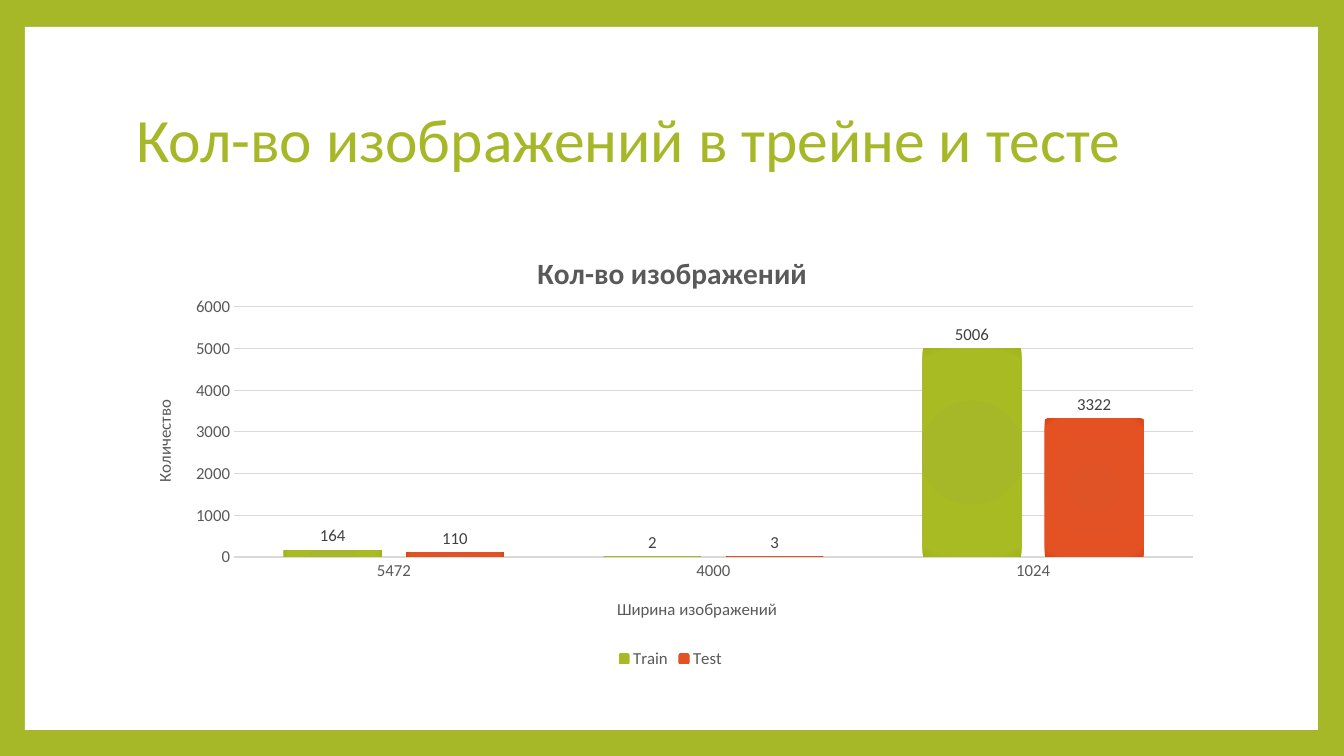
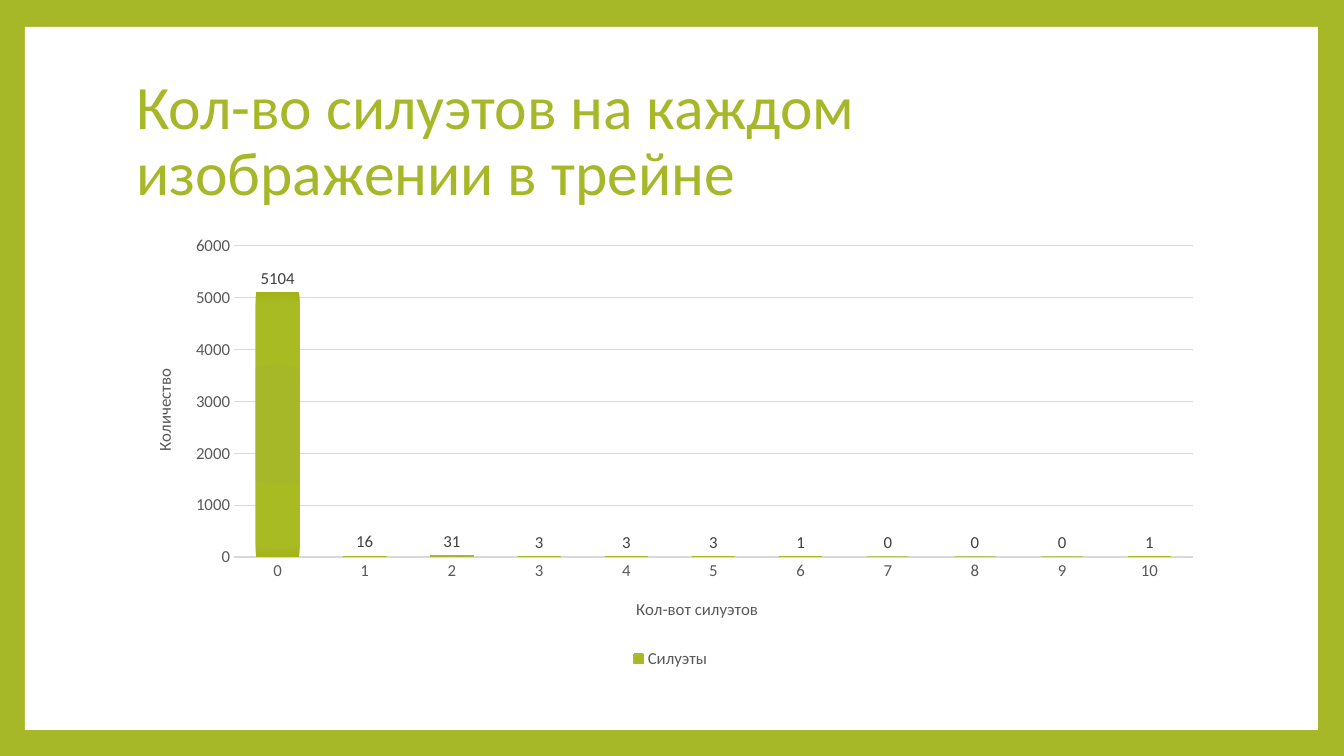
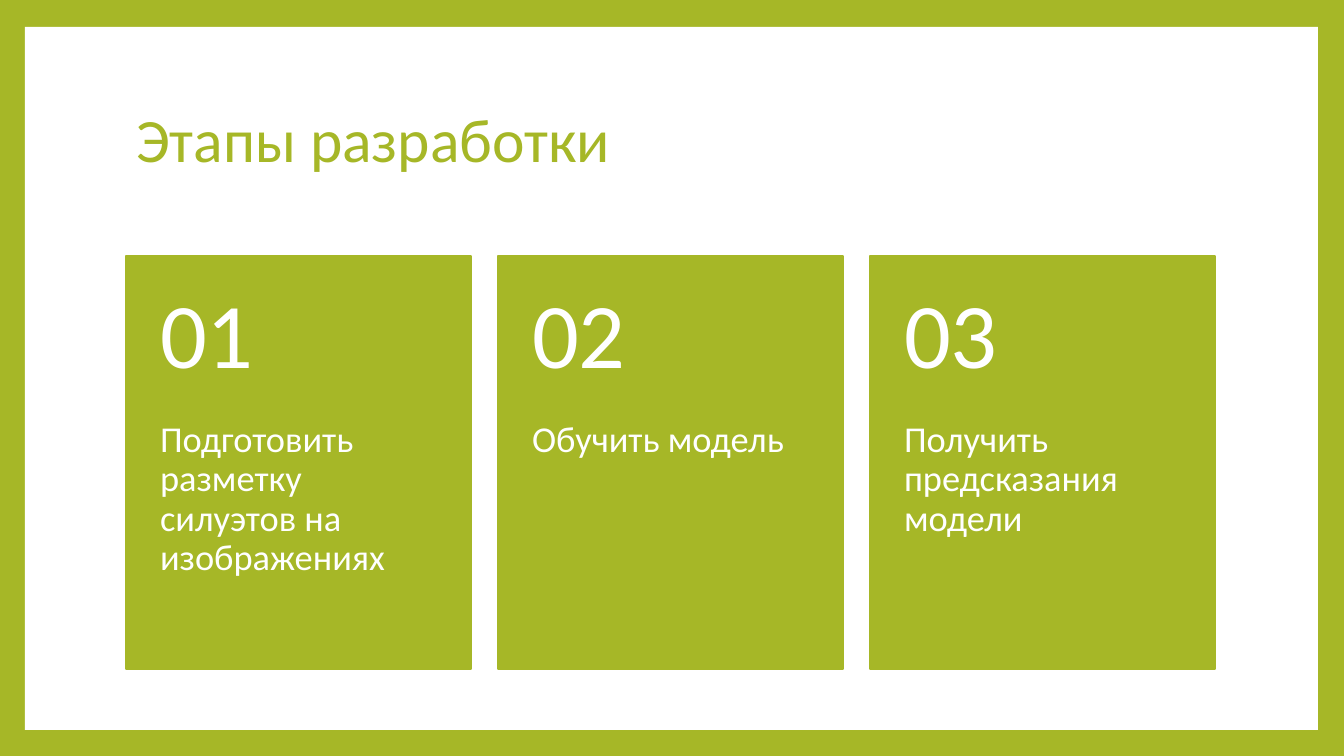
from dataclasses import dataclass

import pptx
import pptx.chart.data
import pptx.dml.color
import pptx.enum.chart
import pptx.enum.shapes
import pptx.enum.text
import pptx.oxml
import pptx.oxml.ns
import pptx.util

EMU_PER_PX = 12192000 / 1344
CHART_BOX = (126, 227, 1089, 446)
TITLE_BOX = (126, 68, 1089, 149)
PANEL_BOX = (25, 27, 1293, 703)


@dataclass(frozen=True)
class Theme:
    font: str = "Calibri"
    accent: str = "A6B727"
    white: str = "FFFFFF"
    grid: str = "D9D9D9"
    axis_text: str = "595959"
    label_text: str = "404040"
    # centre, 90 % and edge colour of each series
    series: tuple = (("A6B727", "A9BB23", "A1B316"),
                     ("DF5327", "E45122", "DB4313"))
    title_size: int = 44
    number_size: int = 66
    card_size: int = 26
    chart_title_size: int = 21
    chart_size: int = 12


def px(n):
    return pptx.util.Emu(round(n * EMU_PER_PX))


def rgb(value):
    return pptx.dml.color.RGBColor.from_string(value)


def radial_fill(colors):
    stops = "".join(
        f'<a:gs pos="{pos}000"><a:srgbClr val="{color}"/></a:gs>'
        for pos, color in zip((0, 90, 100), colors))
    return pptx.oxml.parse_xml(
        f'<a:gradFill {pptx.oxml.ns.nsdecls("a")} rotWithShape="1">'
        f'<a:gsLst>{stops}</a:gsLst><a:path path="circle">'
        '<a:fillToRect l="100000" t="100000" r="100000" b="100000"/>'
        '</a:path></a:gradFill>')


def set_layout(element, left, top, width=None, height=None):
    """Fix a chart part at slide px, stored as fractions of the chart box."""
    for old in element.xpath("c:layout"):
        element.remove(old)
    x, y, w, h = CHART_BOX
    parts = [("x", (left - x) / w), ("y", (top - y) / h)]
    target = ""
    if width:
        parts += [("w", width / w), ("h", height / h)]
        target = '<c:layoutTarget val="inner"/>'
    values = "".join(f'<c:{k} val="{v:.4f}"/>' for k, v in parts)
    layout = pptx.oxml.parse_xml(
        f'<c:layout {pptx.oxml.ns.nsdecls("c")}><c:manualLayout>{target}'
        '<c:xMode val="edge"/><c:yMode val="edge"/>'
        f'{values}</c:manualLayout></c:layout>')
    element.insert(len(element.xpath("c:tx")), layout)


class Deck:
    def __init__(self, theme):
        self.theme = theme
        self.prs = pptx.Presentation()
        self.prs.slide_width, self.prs.slide_height = px(1344), px(756)
        self.layout = self.prs.slide_layouts[5]
        fill = self.layout.background.fill
        fill.solid()
        fill.fore_color.rgb = rgb(theme.accent)
        self.s = None

    def style_font(self, font, size, color, bold=False):
        font.name = self.theme.font
        font.size = pptx.util.Pt(size)
        font.color.rgb = rgb(color)
        font.bold = bold

    def fill_frame(self, tf, text, size, color, anchor, insets=None):
        tf.word_wrap = True
        tf.auto_size = pptx.enum.text.MSO_AUTO_SIZE.NONE
        tf.vertical_anchor = anchor
        if insets:
            (tf.margin_left, tf.margin_top,
             tf.margin_right, tf.margin_bottom) = map(px, insets)
        p = tf.paragraphs[0]
        p.alignment = pptx.enum.text.PP_ALIGN.LEFT
        p.line_spacing = 0.9
        r = p.add_run()
        r.text = text
        self.style_font(r.font, size, color)

    def rect(self, box, color, outline=None):
        sp = self.s.shapes.add_shape(
            pptx.enum.shapes.MSO_SHAPE.RECTANGLE, *map(px, box))
        sp.shadow.inherit = False
        sp.fill.solid()
        sp.fill.fore_color.rgb = rgb(color)
        if outline:
            sp.line.color.rgb = rgb(outline)
            sp.line.width = pptx.util.Pt(1.5)
        else:
            sp.line.fill.background()
        return sp

    def text(self, box, text, size, anchor, insets):
        sp = self.s.shapes.add_textbox(*map(px, box))
        self.fill_frame(sp.text_frame, text, size, self.theme.white, anchor,
                        insets)

    def slide(self, title):
        self.s = self.prs.slides.add_slide(self.layout)
        sp = self.s.shapes.title
        sp.left, sp.top, sp.width, sp.height = map(px, TITLE_BOX)
        self.fill_frame(sp.text_frame, title, self.theme.title_size,
                        self.theme.accent, pptx.enum.text.MSO_ANCHOR.MIDDLE)
        panel = self.rect(PANEL_BOX, self.theme.white)
        sp.element.addprevious(panel.element)

    def card(self, left, number, caption):
        top, width, height, head = 256, 345, 413, 165
        anchors = pptx.enum.text.MSO_ANCHOR
        self.rect((left, top, width, height), self.theme.accent,
                  self.theme.accent)
        self.text((left, top + head, width, height - head), caption,
                  self.theme.card_size, anchors.TOP, (34, 0, 34, 36))
        self.text((left, top, width, head), number,
                  self.theme.number_size, anchors.MIDDLE, (34, 18, 34, 18))

    def chart_text(self, title, text, size, left, top, bold=False):
        r = title.text_frame.paragraphs[0].add_run()
        r.text = text
        self.style_font(r.font, size, self.theme.axis_text, bold)
        set_layout(title.element, left, top)

    def axis(self, axis, title, left, top):
        axis.major_tick_mark = pptx.enum.chart.XL_TICK_MARK.NONE
        axis.minor_tick_mark = pptx.enum.chart.XL_TICK_MARK.NONE
        self.style_font(axis.tick_labels.font, self.theme.chart_size,
                        self.theme.axis_text)
        axis.has_title = True
        self.chart_text(axis.axis_title, title, self.theme.chart_size,
                        left, top)

    def column_chart(self, categories, series, x_title, x_left, plot_top,
                     title=None):
        t = self.theme
        plot_bottom = 557
        data = pptx.chart.data.CategoryChartData()
        data.categories = categories
        for name, values in series:
            data.add_series(name, values)
        chart = self.s.shapes.add_chart(
            pptx.enum.chart.XL_CHART_TYPE.COLUMN_CLUSTERED,
            *map(px, CHART_BOX), data).chart
        self.style_font(chart.font, t.chart_size, t.axis_text)
        chart.has_title = bool(title)
        if title:
            self.chart_text(chart.chart_title, title, t.chart_title_size,
                            532, 247, bold=True)

        self.axis(chart.category_axis, x_title, x_left, 595)
        line = chart.category_axis.format.line
        line.color.rgb = rgb(t.grid)
        line.width = pptx.util.Pt(1)

        values = chart.value_axis
        self.axis(values, "Количество", 150, (plot_top + plot_bottom) // 2 - 35)
        body = values.axis_title.element.xpath(".//a:bodyPr")[0]
        body.set("rot", "-5400000")
        body.set("vert", "horz")
        values.minimum_scale, values.maximum_scale = 0, 6000
        values.major_unit = 1000
        values.format.line.fill.background()
        values.major_gridlines.format.line.color.rgb = rgb(t.grid)
        values.major_gridlines.format.line.width = pptx.util.Pt(0.75)

        chart.has_legend = True
        chart.legend.position = pptx.enum.chart.XL_LEGEND_POSITION.BOTTOM
        chart.legend.include_in_layout = False
        self.style_font(chart.legend.font, t.chart_size, t.axis_text)

        plot = chart.plots[0]
        plot.vary_by_categories = False
        plot.gap_width, plot.overlap = 100, -24
        for ser in plot.series:
            ser.format.line.fill.background()
            labels = ser.data_labels
            labels.show_value = True
            labels.position = pptx.enum.chart.XL_LABEL_POSITION.OUTSIDE_END
            self.style_font(labels.font, t.chart_size, t.label_text)
        for sp_pr, colors in zip(chart.element.xpath(".//c:ser/c:spPr"),
                                 t.series):
            sp_pr.insert(0, radial_fill(colors))
        set_layout(chart.element.xpath("c:chart/c:plotArea")[0],
                   234, plot_top, 959, plot_bottom - plot_top)


def main():
    deck = Deck(Theme())

    deck.slide("Кол-во изображений в трейне и тесте")
    deck.column_chart(
        ["5472", "4000", "1024"],
        [("Train", (164, 2, 5006)), ("Test", (110, 3, 3322))],
        "Ширина изображений", 614, 307, title="Кол-во изображений")

    deck.slide("Кол-во силуэтов на каждом изображении в трейне")
    deck.column_chart(
        [str(n) for n in range(11)],
        [("Силуэты", (5104, 16, 31, 3, 3, 3, 1, 0, 0, 0, 1))],
        "Кол-вот силуэтов", 633, 246)

    deck.slide("Этапы разработки")
    steps = ("Подготовить разметку силуэтов на изображениях",
             "Обучить модель",
             "Получить предсказания модели")
    for i, step in enumerate(steps):
        deck.card(126 + 372 * i, f"{i + 1:02d}", step)

    deck.prs.save("out.pptx")


if __name__ == "__main__":
    main()
